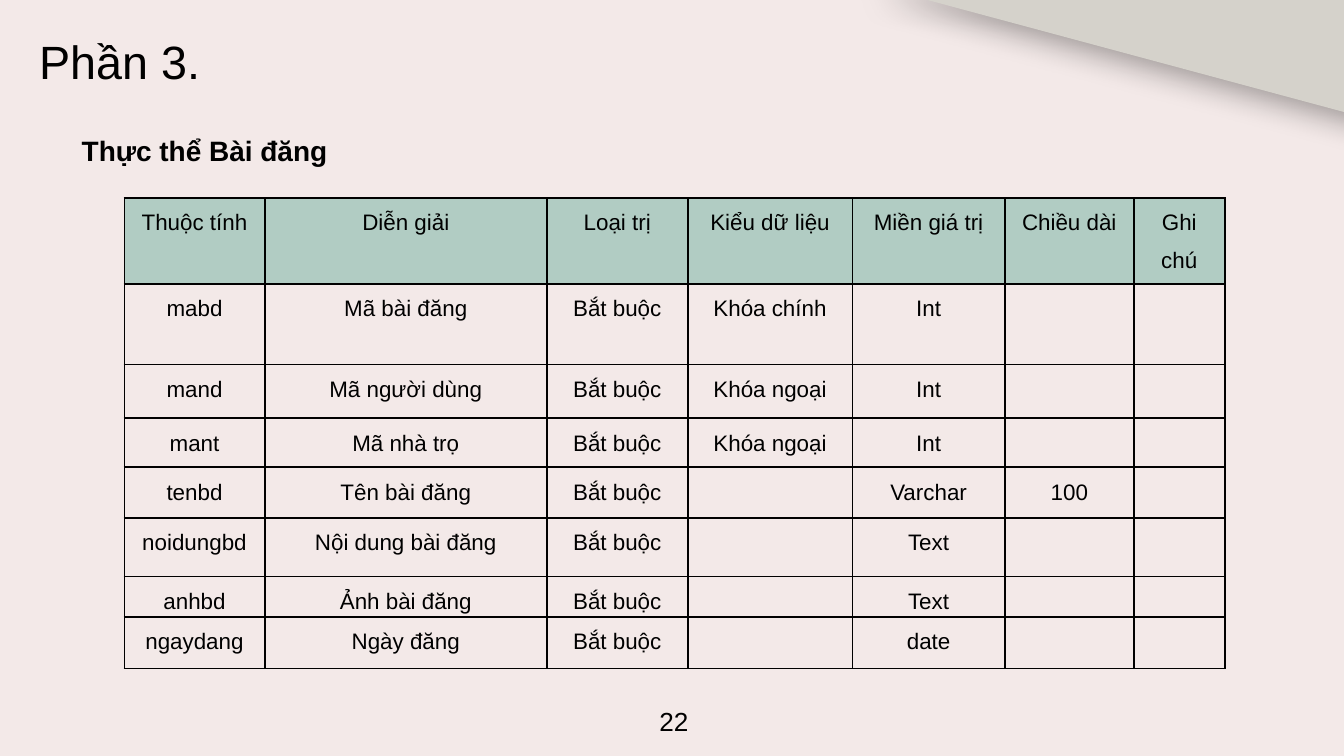
from lxml.etree import SubElement
from pptx import Presentation
from pptx.dml.color import RGBColor
from pptx.enum.text import MSO_ANCHOR, PP_ALIGN
from pptx.oxml.ns import qn
from pptx.util import Pt

COLORS = {
    "background": "F3E9E8",
    "corner": "D5D2CB",
    "header": "B1CCC3",
    "ink": "000000",
}
COLUMN_WIDTHS = [75.3, 151.1, 75.5, 88.2, 81.7, 69.1, 48.7]
ROW_HEIGHTS = [46.1, 43.1, 28.9, 26.2, 27.3, 31.3, 21.4, 27.6]
REQUIRED = "Bắt buộc"
ROWS = [
    ["Thuộc tính", "Diễn giải", "Loại trị", "Kiểu dữ liệu", "Miền giá trị", "Chiều dài", "Ghi chú"],
    ["mabd", "Mã bài đăng", REQUIRED, "Khóa chính", "Int", "", ""],
    ["mand", "Mã người dùng", REQUIRED, "Khóa ngoại", "Int", "", ""],
    ["mant", "Mã nhà trọ", REQUIRED, "Khóa ngoại", "Int", "", ""],
    ["tenbd", "Tên bài đăng", REQUIRED, "", "Varchar", "100", ""],
    ["noidungbd", "Nội dung bài đăng", REQUIRED, "", "Text", "", ""],
    ["anhbd", "Ảnh bài đăng", REQUIRED, "", "Text", "", ""],
    ["ngaydang", "Ngày đăng", REQUIRED, "", "date", "", ""],
]


def color(name):
    return RGBColor.from_string(COLORS[name])


def write_text(text_frame, text, size=12, bold=False, align=PP_ALIGN.LEFT, line_spacing=1.0):
    paragraph = text_frame.paragraphs[0]
    paragraph.alignment = align
    paragraph.line_spacing = line_spacing
    run = paragraph.add_run()
    run.text = text
    run.font.name = "Arial"
    run.font.size = Pt(size)
    run.font.bold = bold
    run.font.color.rgb = color("ink")


def add_text_box(slide, text, left, top, width, height, inset=7.2, anchor=MSO_ANCHOR.TOP, **text_format):
    shape = slide.shapes.add_textbox(Pt(left), Pt(top), Pt(width), Pt(height))
    text_frame = shape.text_frame
    text_frame.word_wrap = True
    text_frame.vertical_anchor = anchor
    text_frame.margin_left = text_frame.margin_right = Pt(7.2)
    text_frame.margin_top = text_frame.margin_bottom = Pt(inset)
    write_text(text_frame, text, **text_format)


def add_corner(slide):
    builder = slide.shapes.build_freeform(730.8, 63.4, scale=Pt(1))
    builder.add_line_segments([(731.5, -8.6), (467.3, -7.9)], close=True)
    shape = builder.convert_to_shape()
    shape.fill.solid()
    shape.fill.fore_color.rgb = color("corner")
    shape.line.fill.background()
    shape.shadow.inherit = False
    effects = shape.element.spPr.find(qn("a:effectLst"))
    shadow = SubElement(effects, qn("a:outerShdw"), blurRad=str(Pt(16.9)), dist=str(Pt(6)),
                        dir=str(61 * 60000), algn="ctr", rotWithShape="0")
    shadow_color = SubElement(shadow, qn("a:srgbClr"), val=COLORS["ink"])
    SubElement(shadow_color, qn("a:alpha"), val="34000")


def add_borders(cell):
    properties = cell._tc.get_or_add_tcPr()
    for position, side in enumerate(("lnL", "lnR", "lnT", "lnB")):
        line = properties.makeelement(qn(f"a:{side}"), {"w": str(Pt(1))})
        properties.insert(position, line)
        fill = SubElement(line, qn("a:solidFill"))
        SubElement(fill, qn("a:srgbClr"), val=COLORS["ink"])


def format_cell(cell, text, is_header):
    cell.margin_left = cell.margin_right = Pt(4.3)
    cell.margin_top = cell.margin_bottom = Pt(0)
    if is_header:
        cell.fill.solid()
        cell.fill.fore_color.rgb = color("header")
    else:
        cell.fill.background()
    add_borders(cell)
    if text:
        write_text(cell.text_frame, text, align=PP_ALIGN.CENTER, line_spacing=1.5)


def add_attribute_table(slide):
    frame = slide.shapes.add_table(len(ROWS), len(COLUMN_WIDTHS), Pt(66.6), Pt(106),
                                   Pt(sum(COLUMN_WIDTHS)), Pt(sum(ROW_HEIGHTS)))
    table = frame.table
    table.horz_banding = False
    for column, width in zip(table.columns, COLUMN_WIDTHS):
        column.width = Pt(width)
    for row_index, (row, height) in enumerate(zip(table.rows, ROW_HEIGHTS)):
        row.height = Pt(height)
        for cell, text in zip(row.cells, ROWS[row_index]):
            format_cell(cell, text, is_header=row_index == 0)
    table.first_row = False


def main():
    presentation = Presentation()
    presentation.slide_width = Pt(720)
    presentation.slide_height = Pt(405)
    slide = presentation.slides.add_slide(presentation.slide_layouts[6])
    slide.background.fill.solid()
    slide.background.fill.fore_color.rgb = color("background")
    add_corner(slide)
    add_text_box(slide, "Phần 3.", 14.2, 10, 219, 45.4, anchor=MSO_ANCHOR.MIDDLE, size=25)
    add_text_box(slide, "Thực thể Bài đăng", 36.7, 55.4, 659.5, 323.3, size=15, bold=True, line_spacing=1.5)
    add_text_box(slide, "22", 345.6, 374.5, 31, 24.2, inset=3.6, size=14, align=PP_ALIGN.CENTER)
    add_attribute_table(slide)
    presentation.save("out.pptx")


if __name__ == "__main__":
    main()
